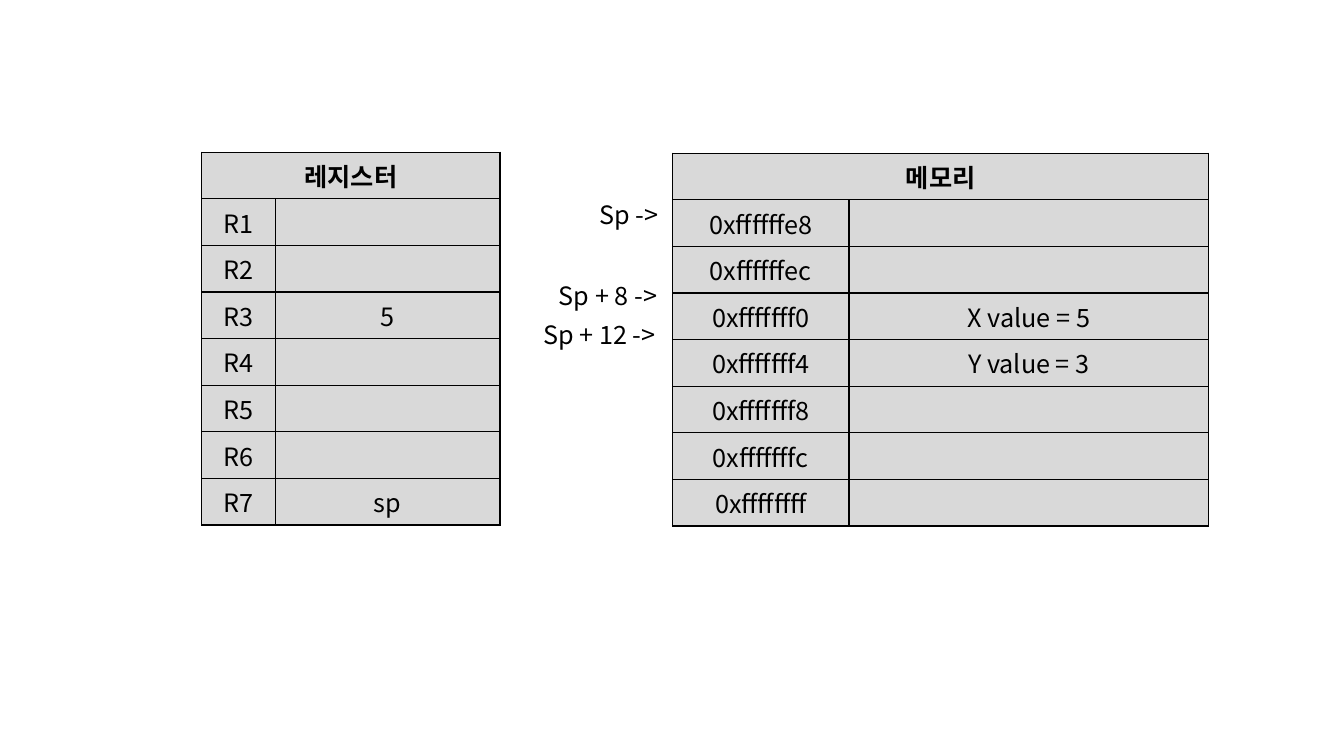
from lxml import etree
from pptx import Presentation
from pptx.dml.color import RGBColor
from pptx.enum.text import MSO_ANCHOR, MSO_AUTO_SIZE, PP_ALIGN
from pptx.oxml.ns import qn
from pptx.util import Inches, Pt

CENTER = PP_ALIGN.CENTER
MIDDLE = MSO_ANCHOR.MIDDLE
GROW = MSO_AUTO_SIZE.SHAPE_TO_FIT_TEXT
FONT = "Noto Sans CJK KR"
BLACK, GRAY = "000000", "D9D9D9"
ROW_HEIGHT = 0.405


def color(hex_value):
    return RGBColor.from_string(hex_value)


def write(tf, text, bold=False):
    p = tf.paragraphs[0]
    p.alignment = CENTER
    r = p.add_run()
    r.text = text
    for name, value in {"name": FONT, "size": Pt(18), "bold": bold}.items():
        setattr(r.font, name, value)
    r.font.color.rgb = color(BLACK)
    etree.SubElement(r.font._element, qn("a:ea"), typeface=FONT)


prs = Presentation()
prs.slide_width, prs.slide_height = Inches(13.33), Inches(7.5)
s = prs.slides.add_slide(prs.slide_layouts[6])

registers = [(f"R{i}", {3: "5", 7: "sp"}.get(i, "")) for i in range(1, 8)]
memory = [
    ("0xffffffe8", ""),
    ("0xffffffec", ""),
    ("0xfffffff0", "X value = 5"),
    ("0xfffffff4", "Y value = 3"),
    ("0xfffffff8", ""),
    ("0xfffffffc", ""),
    ("0xffffffff", ""),
]
tables = [
    ("레지스터", 2, 1.51, (0.73, 2.23), registers),
    ("메모리", 6.67, 1.52, (1.75, 3.57), memory),
]
for title, left, top, widths, body in tables:
    rows = [(title, "")] + body
    table = s.shapes.add_table(
        len(rows), 2, Inches(left), Inches(top),
        Inches(sum(widths)), Inches(ROW_HEIGHT * len(rows))).table
    table.first_row = table.horz_banding = False
    for column, width in zip(table.columns, widths):
        column.width = Inches(width)
    table.cell(0, 0).merge(table.cell(0, 1))
    for i, texts in enumerate(rows):
        table.rows[i].height = Inches(ROW_HEIGHT)
        for j, text in enumerate(texts):
            cell = table.cell(i, j)
            cell.vertical_anchor = MIDDLE
            tcPr = cell._tc.get_or_add_tcPr()
            for side in ("lnL", "lnR", "lnT", "lnB"):
                ln = etree.SubElement(tcPr, qn(f"a:{side}"), w=str(Pt(1)))
                fill = etree.SubElement(ln, qn("a:solidFill"))
                etree.SubElement(fill, qn("a:srgbClr"), val=BLACK)
            cell.fill.solid()
            cell.fill.fore_color.rgb = color(GRAY)
            if text:
                write(cell.text_frame, text, bold=i == 0)

pointers = [
    ("Sp ->", 5.74, 1.93, 1),
    ("Sp + 8 ->", 5.28, 2.73, 1.5),
    ("Sp + 12 ->", 5.11, 3.12, 1.67),
]
for text, left, top, width in pointers:
    sp = s.shapes.add_textbox(
        Inches(left), Inches(top), Inches(width), Inches(0.4))
    tf = sp.text_frame
    tf.word_wrap = True
    tf.auto_size = GROW
    write(tf, text)

prs.save("out.pptx")
